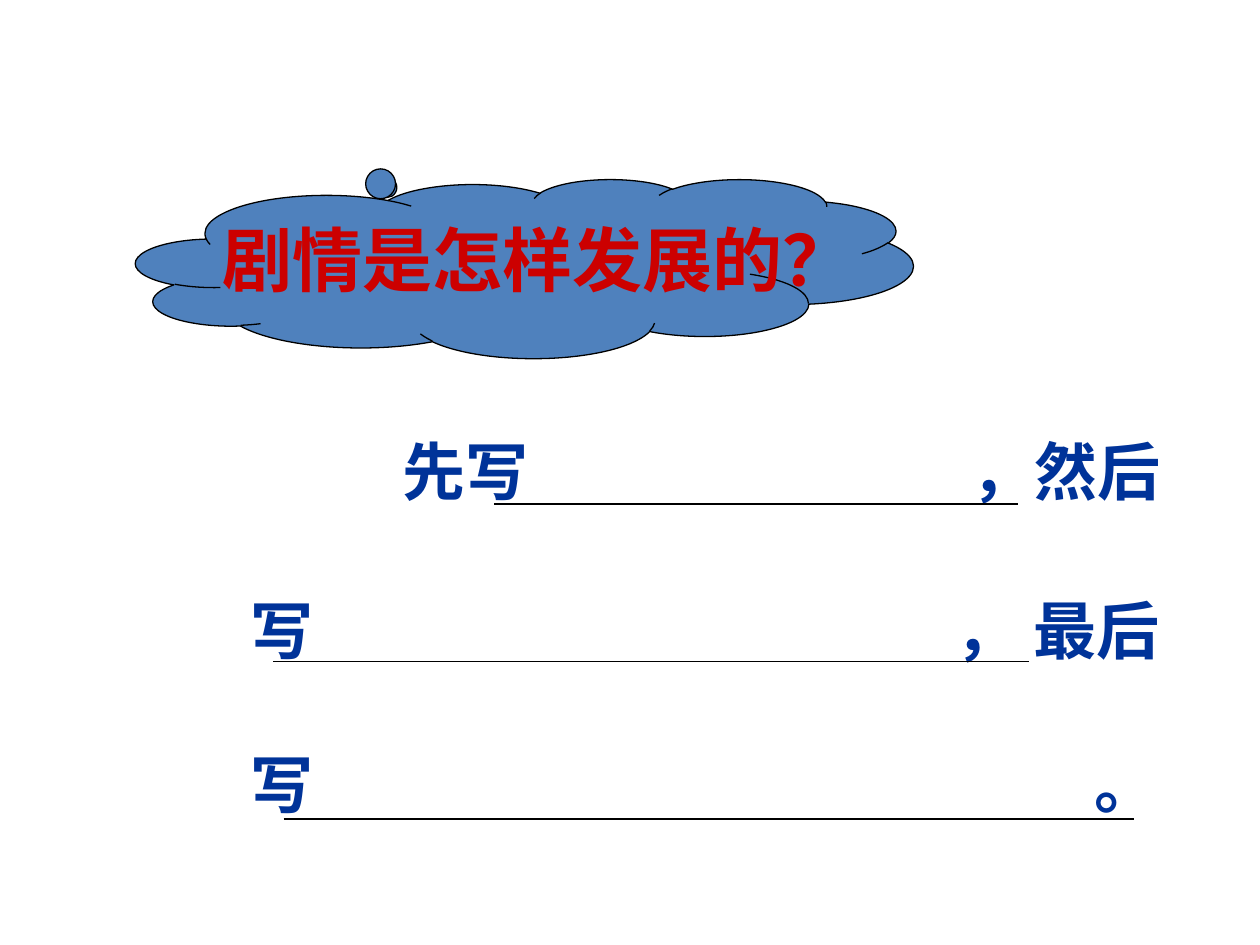
"""Build a fill-in-the-blank slide about how a plot develops."""
from lxml import etree
from pptx import Presentation, util as u
from pptx.dml.color import RGBColor
from pptx.enum import shapes, text
from pptx.oxml.ns import qn

COLORS = {"cloud": "4F81BD", "line": "000000", "title": "CC0000", "body": "003399"}
TITLE = "剧情是怎样发展的？"
BLANKS = [
    ("\t先写\t，然后", (3.07, 14.53), (9.96, 20.52, 10.16)),
    ("写\t， 最后", (14.22,), (5.51, 20.75, 13.34)),
    ("写\t。", (17.02,), (5.72, 22.86, 16.51)),
]
TITLE_FORMAT = {"size": u.Pt(40), "name": "Times New Roman", "bold": True}
BODY_FORMAT = {**TITLE_FORMAT, "size": u.Pt(36)}
LEAD_FORMAT = {**TITLE_FORMAT, "size": u.Pt(48)}
ROW_GAP = u.Pt(45)


def rgb(name):
    return RGBColor.from_string(COLORS[name])


def add_run(p, words, formats, color):
    r = p.add_run()
    r.text = words
    for key, value in formats.items():
        setattr(r.font, key, value)
    r.font.color.rgb = rgb(color)


def add_box(s, *place):
    tf = s.shapes.add_textbox(*map(u.Cm, place)).text_frame
    tf.word_wrap = True
    tf.vertical_anchor = text.MSO_ANCHOR.TOP
    return tf


def set_tabs(p, stops):
    tabs = etree.SubElement(p._p.get_or_add_pPr(), qn("a:tabLst"))
    for stop in stops:
        etree.SubElement(tabs, qn("a:tab"), pos=str(u.Cm(stop)), algn="l")


def add_cloud(s):
    sp = s.shapes.add_shape(shapes.MSO_SHAPE.CLOUD_CALLOUT,
                            *map(u.Cm, (2.74, 3.61, 15.67, 3.61)))
    sp.adjustments[0], sp.adjustments[1] = -0.18, -0.46
    sp.shadow.inherit = False
    sp.fill.solid()
    sp.fill.fore_color.rgb = rgb("cloud")
    sp.line.color.rgb = rgb("line")
    sp.line.width = u.Pt(0.75)


def add_rule(s, left, right, y):
    line = s.shapes.add_connector(shapes.MSO_CONNECTOR.STRAIGHT,
                                  *map(u.Cm, (left, y, right, y)))
    line.line.color.rgb = rgb("line")
    line.line.width = u.Pt(0.75)
    etree.SubElement(line._element.spPr, qn("a:effectLst"))


def main():
    prs = Presentation()
    prs.slide_width, prs.slide_height = u.Cm(25.4), u.Cm(19.05)
    s = prs.slides.add_slide(prs.slide_layouts[6])
    add_cloud(s)
    add_run(add_box(s, 4.24, 4.24, 13.34, 1.96).paragraphs[0],
            TITLE, TITLE_FORMAT, "title")
    tf = add_box(s, 4.8, 8.18, 19.2, 8.38)
    for i, (words, stops, rule) in enumerate(BLANKS):
        p = tf.add_paragraph() if i else tf.paragraphs[0]
        set_tabs(p, stops)
        if i:
            p.space_before = ROW_GAP
        elif words.startswith("\t"):
            add_run(p, "\t", LEAD_FORMAT, "body")
            words = words[1:]
        add_run(p, words, BODY_FORMAT, "body")
        add_rule(s, *rule)
    prs.save("out.pptx")


if __name__ == "__main__":
    main()
